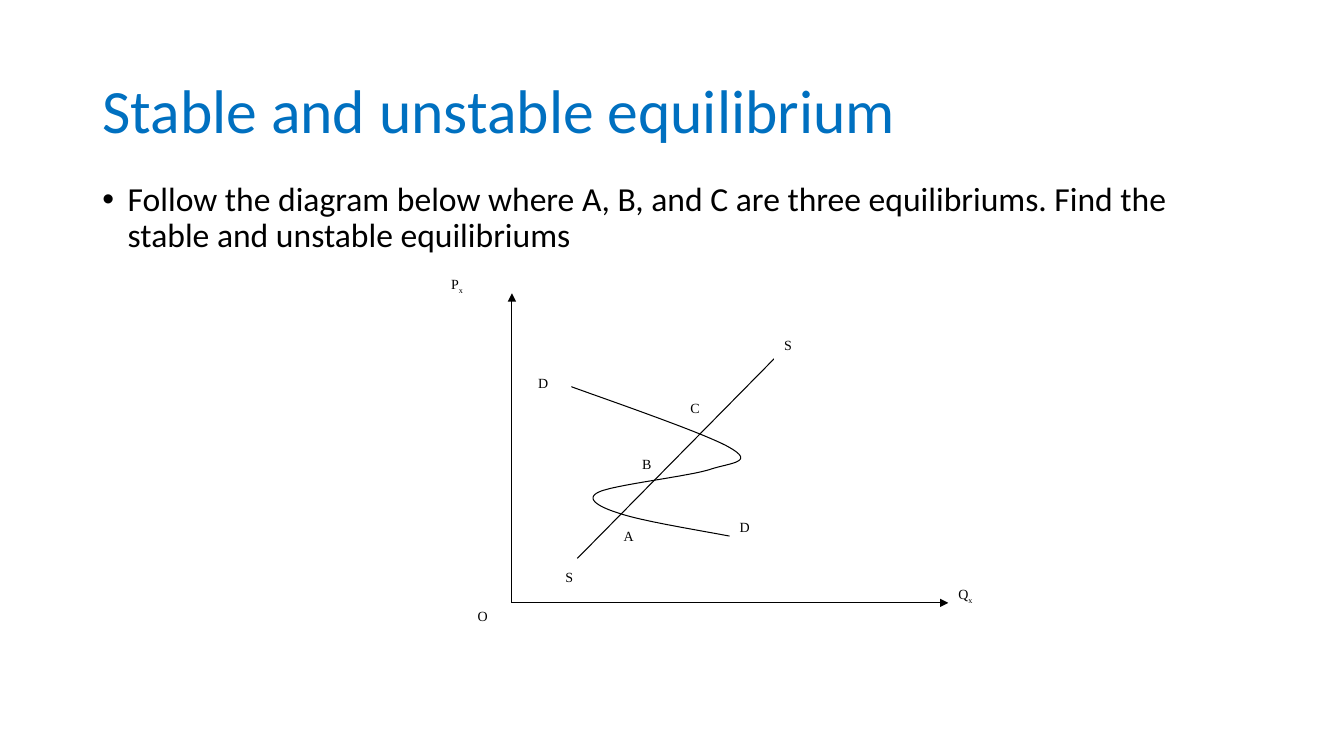
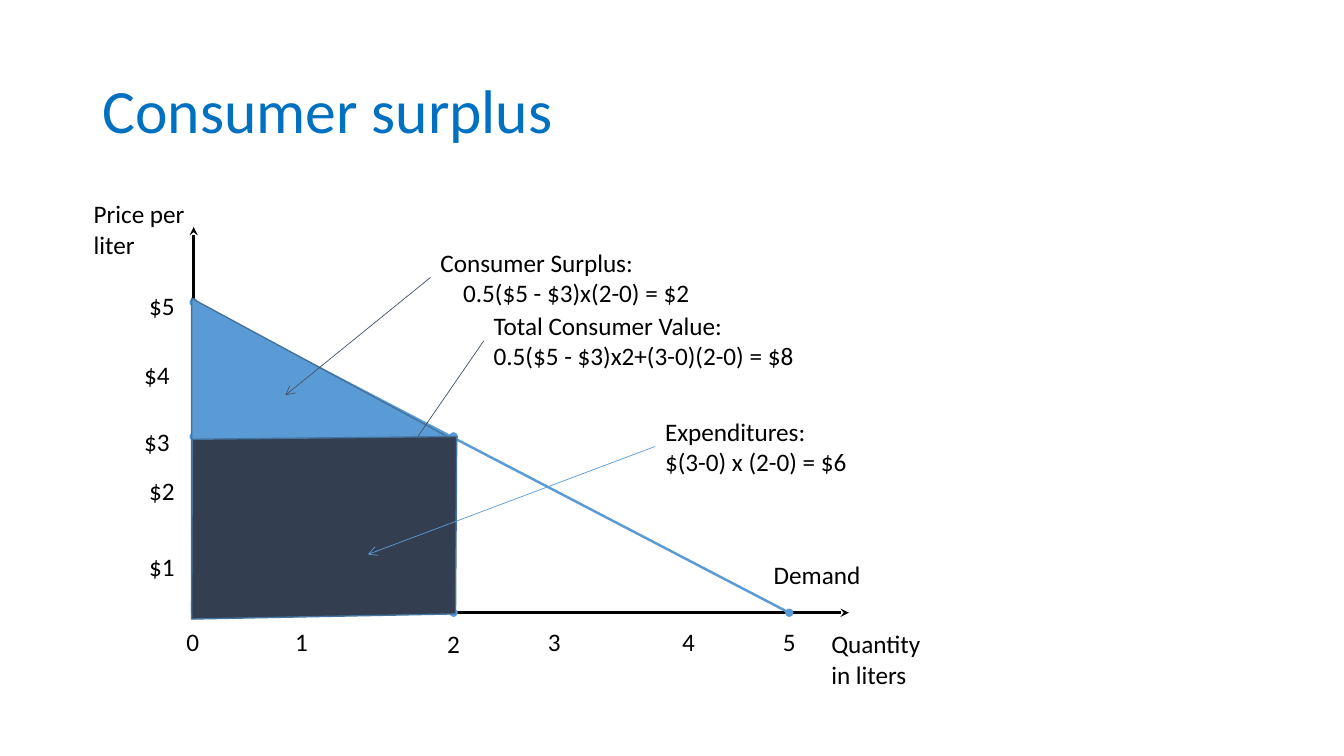
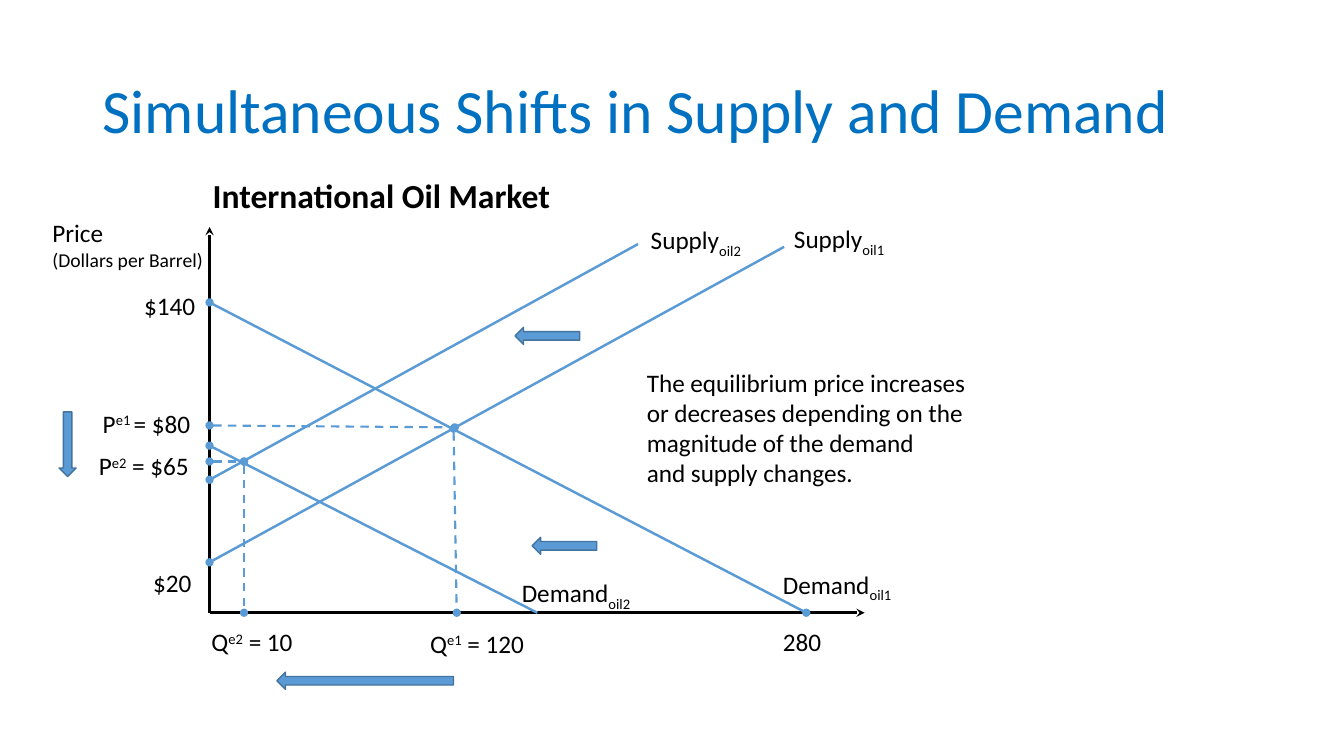
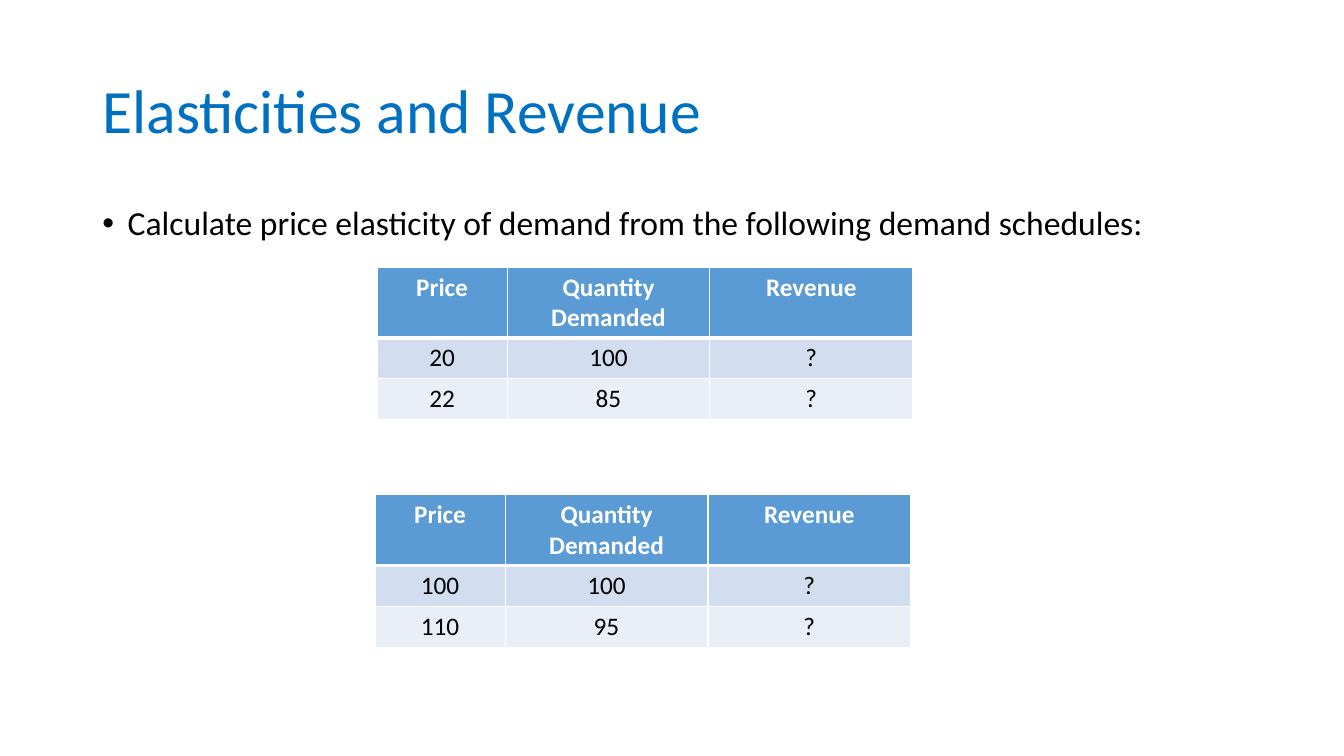
from lxml.etree import SubElement
from pptx import Presentation
from pptx.dml.color import RGBColor
from pptx.enum.dml import MSO_LINE_DASH_STYLE as Dash
from pptx.enum.shapes import MSO_CONNECTOR, MSO_SHAPE
from pptx.enum.text import MSO_ANCHOR, MSO_AUTO_SIZE, PP_ALIGN
from pptx.oxml.ns import qn
from pptx.util import Cm, Pt

# Shared look
COLORS = {"title": "0070C0", "ink": "000000", "paper": "FFFFFF", "blue": "5B9BD5",
          "edge": "43739E", "slate": "44546A", "navy": "333F50",
          "band_dark": "D2DEEF", "band_light": "EAEFF7"}
SANS, SERIF = "Calibri", "Times New Roman"
TITLE_BOX = (2.33, 1.01, 29.21, 3.68)

# Line styles: colour, width, dashed, start mark, end mark
LINES = {
    "thin": ("ink", 0.75, False, None, None),
    "thin axis": ("ink", 0.75, False, None, "triangle"),
    "axis": ("ink", 2, False, None, "stealth"),
    "curve": ("blue", 1.75, False, "oval", None),
    "full curve": ("blue", 1.75, False, "oval", "oval"),
    "guide": ("blue", 1.5, True, "oval", "oval"),
    "slate leader": ("slate", 0.5, False, None, "arrow"),
    "blue leader": ("blue", 0.5, False, None, "arrow"),
}


def sub(text):
    return text, {"base": -25}


def sup(text):
    return text, {"base": 30}


# Slide 1: equilibrium
EQUILIBRIUM = {
    "title": "Stable and unstable equilibrium",
    "bullet": "Follow the diagram below where A, B, and C are three equilibriums. "
              "Find the stable and unstable equilibriums",
    "axes": ((12.9, 15.19), 7.39, 23.9),
    "supply": (14.55, 14.07, 19.51, 9.04),
    # Bezier points: the start, then two controls and an end per segment
    "demand": [(18.39, 13.51),
               (17.3, 13.31), (16.21, 13.13), (15.65, 12.95),
               (15.09, 12.78), (14.73, 12.57), (15.09, 12.4),
               (15.47, 12.22), (17.3, 12.01), (17.86, 11.84),
               (18.39, 11.66), (19.05, 11.66), (18.39, 11.28),
               (17.75, 10.9), (14.73, 9.88), (14, 9.6)],
    "tags": [((14, 14.2, 1.09, 0.74), ["S"]),
             ((15.47, 13.18, 1.09, 1.12), ["A"]),
             ((15.93, 11.35, 0.64, 0.58), ["B"]),
             ((17.15, 9.93, 0.58, 0.61), ["C"]),
             ((13.31, 9.3, 1.09, 1.12), ["D"]),
             ((19.51, 8.36, 1.09, 1.12), ["S"]),
             ((18.39, 12.95, 1.09, 1.12), ["D"]),
             ((11.79, 15.19, 1.09, 1.12), ["O"]),
             ((10.69, 6.83, 1.65, 1.12), ["P", sub("x")]),
             ((23.9, 14.63, 1.65, 1.12), ["Q", sub("x")])],
}

# Slide 2: consumer surplus; labels are left, top, width, paragraphs of runs
SURPLUS = {
    "title": "Consumer surplus",
    "axes": ((4.88, 15.44), 5.72, 21.39),
    "lines": [("full curve", (4.88, 7.62, 19.89, 15.44)),
              ("guide", (4.88, 11, 11.43, 11)),
              ("guide", (11.43, 11, 11.43, 15.44))],
    "value_area": [(4.83, 7.52), (4.83, 15.44), (11.43, 15.37), (11.46, 11.1)],
    "value_leader": (12.19, 8.59, 9.22, 12.9),
    "spending_area": [(4.85, 11.07), (4.83, 15.6), (11.48, 15.47), (11.51, 11)],
    "leaders": [("blue leader", (16.51, 11.25, 9.27, 13.97)),
                ("slate leader", (10.85, 6.99, 7.19, 9.96))],
    "labels": [(20.7, 15.72, 2.95, [["Quantity"], ["in liters"]]),
               (2.11, 4.88, 2.97, [["Price per"], ["liter"]]),
               (19.25, 13.97, 2.72, [["Demand"]]),
               (12.19, 7.7, 8.18, [["Total Consumer Value:"],
                                   ["0.5($5 - $3)x2+(3-0)(2-0) = $8"]]),
               (16.51, 10.36, 5.28, [["Expenditures:"], ["$(3-0) x (2-0) = $6"]])],
    "surplus_label": (10.85, 6.1, 7.01, [["Consumer Surplus:"],
                                         ["0.5($5 - $3)x(2-0) = $2"]]),
    "price_ticks": [("$5", 3.51, 7.19), ("$4", 3.38, 8.92), ("$3", 3.38, 10.62),
                    ("$2", 3.51, 11.86), ("$1", 3.51, 13.77)],
    "quantity_ticks": [("0", 4.45, 15.67), ("1", 7.19, 15.67), ("2", 11.02, 15.7),
                       ("3", 13.56, 15.67), ("4", 16.94, 15.67), ("5", 19.48, 15.67)],
}

# Slide 3: oil market
OIL = {
    "title": "Simultaneous Shifts in Supply and Demand",
    "axes": ((5.28, 15.44), 5.72, 21.79),
    "lines": [("curve", (5.28, 14.17, 19.76, 6.22)),
              ("curve", (5.28, 12.09, 16.08, 6.15)),
              ("full curve", (5.28, 7.62, 20.32, 15.44)),
              ("curve", (5.28, 11.23, 13.54, 15.44)),
              ("guide", (5.28, 10.72, 11.46, 10.77)),
              ("guide", (11.43, 10.8, 11.51, 15.44)),
              ("guide", (5.28, 11.63, 6.15, 11.63)),
              ("guide", (6.15, 11.63, 6.15, 15.44))],
    "shifts": [(MSO_SHAPE.LEFT_ARROW, (12.98, 8.25, 1.63, 0.43)),
               (MSO_SHAPE.LEFT_ARROW, (13.41, 13.54, 1.63, 0.43)),
               (MSO_SHAPE.LEFT_ARROW, (6.98, 16.94, 4.45, 0.43)),
               (MSO_SHAPE.DOWN_ARROW, (1.49, 10.38, 0.43, 1.63))],
    "labels": [(5.11, 4.29, 9.12, [[("International Oil Market",
                                     {"size": 24, "bold": True})]]),
               (1.07, 5.36, 4.34, [["Price"], [("(Dollars per Barrel)", {"size": 14})]]),
               (19.76, 5.51, 2.9, [["Supply", sub("oil1")]]),
               (16.15, 5.54, 2.9, [["Supply", sub("oil2")]]),
               (19.48, 14.22, 3.38, [["Demand", sub("oil1")]]),
               (12.9, 14.43, 3.38, [["Demand", sub("oil2")]]),
               (3.38, 7.19, 1.8, [["$140"]]),
               (2.34, 10.16, 2.79, [["P", sup("e1 "), "= $80"]]),
               (2.24, 11.23, 2.84, [["P", sup("e2"), " = $65"]]),
               (3.61, 14.17, 1.5, [["$20"]]),
               (5.08, 15.67, 2.64, [["Q", sup("e2"), " = 10"]]),
               (10.59, 15.7, 2.97, [["Q", sup("e1"), " = 120"]]),
               (19.48, 15.67, 1.5, [["280"]]),
               (16.05, 9.12, 8.79, [["The equilibrium price increases"],
                                    ["or decreases depending on the"],
                                    ["magnitude of the demand"],
                                    ["and supply changes."]])],
}

# Slide 4: demand schedules
REVENUE = {
    "title": "Elasticities and Revenue",
    "bullet": "Calculate price elasticity of demand from the following demand schedules:",
    "header": ("Price", "Quantity Demanded", "Revenue"),
    "columns": (3.28, 5.11, 5.11),
    "rows": (1.78, 1.03, 1.03),
    "schedules": [((9.5, 6.73), [("20", "100", "?"), ("22", "85", "?")]),
                  ((9.45, 12.47), [("100", "100", "?"), ("110", "95", "?")])],
}


# Helpers
def rgb(name):
    return RGBColor.from_string(COLORS[name])


def cm(values):
    return [Cm(value) for value in values]


def add_runs(paragraph, runs, size=18, color="ink", font=SANS, bold=False):
    for item in runs:
        text, extra = (item, {}) if isinstance(item, str) else item
        run = paragraph.add_run()
        run.text = text
        run.font.name = font
        run.font.size = Pt(extra.get("size", size))
        run.font.bold = extra.get("bold", bold)
        run.font.color.rgb = rgb(color)
        if "base" in extra:
            run.font._element.set("baseline", str(extra["base"] * 1000))


def new_slide(deck, title):
    slide = deck.slides.add_slide(deck.slide_layouts[5])
    heading = slide.shapes.title
    heading.left, heading.top, heading.width, heading.height = cm(TITLE_BOX)
    frame = heading.text_frame
    frame.vertical_anchor = MSO_ANCHOR.MIDDLE
    paragraph = frame.paragraphs[0]
    paragraph.alignment = PP_ALIGN.LEFT
    paragraph.line_spacing = 0.9
    add_runs(paragraph, [title], 44, "title")
    return slide


def add_bullet(slide, text, top, height, align=PP_ALIGN.LEFT):
    box = slide.shapes.add_textbox(*cm((2.33, top, 29.21, height)))
    box.text_frame.word_wrap = True
    paragraph = box.text_frame.paragraphs[0]
    props = paragraph._p.get_or_add_pPr()
    props.set("marL", str(Cm(0.64)))
    props.set("indent", str(-Cm(0.64)))
    SubElement(props, qn("a:buFont"), typeface="Arial")
    SubElement(props, qn("a:buChar"), char="•")
    paragraph.alignment = align
    paragraph.line_spacing = 0.9
    add_runs(paragraph, [text], 24)


def add_label(slide, left, top, width, paragraphs):
    height = 0.25 + 0.77 * len(paragraphs)
    frame = slide.shapes.add_textbox(*cm((left, top, width, height))).text_frame
    frame.word_wrap = False
    frame.auto_size = MSO_AUTO_SIZE.SHAPE_TO_FIT_TEXT
    for index, runs in enumerate(paragraphs):
        add_runs(frame.add_paragraph() if index else frame.paragraphs[0], runs)
    return frame


def add_line(slide, style, ends):
    color, width, dashed, start, end = LINES[style]
    connector = slide.shapes.add_connector(MSO_CONNECTOR.STRAIGHT, *cm(ends))
    connector.line.color.rgb = rgb(color)
    connector.line.width = Pt(width)
    if dashed:
        connector.line.dash_style = Dash.DASH
    props = connector._element.spPr
    outline = props.find(qn("a:ln"))
    for tag, mark in (("a:headEnd", start), ("a:tailEnd", end)):
        if mark:
            SubElement(outline, qn(tag), type=mark)
    SubElement(props, qn("a:effectLst"))


def add_axes(slide, axes, style="axis"):
    (x, y), top, right = axes
    add_line(slide, style, (x, y, x, top))
    add_line(slide, style, (x, y, right, y))


def paint(shape, fill=None, line=None, width=1):
    shape.shadow.inherit = False
    if fill:
        shape.fill.solid()
        shape.fill.fore_color.rgb = rgb(fill)
    else:
        shape.fill.background()
    if line:
        shape.line.color.rgb = rgb(line)
        shape.line.width = Pt(width)
    else:
        shape.line.fill.background()


def add_outline(slide, points, close):
    corners = [cm(point) for point in points]
    builder = slide.shapes.build_freeform(*corners[0])
    builder.add_line_segments(corners[1:], close=close)
    return builder.convert_to_shape()


def bezier_points(points, steps=24):
    curve = [points[0]]
    for first in range(0, len(points) - 1, 3):
        segment = points[first:first + 4]
        for step in range(1, steps + 1):
            t = step / steps
            weights = ((1 - t) ** 3, 3 * t * (1 - t) ** 2, 3 * t * t * (1 - t), t ** 3)
            curve.append(tuple(sum(w * p[axis] for w, p in zip(weights, segment))
                               for axis in (0, 1)))
    return curve


def add_borders(cell, bottom):
    props = cell._tc.get_or_add_tcPr()
    for side, width in (("L", 1), ("R", 1), ("T", 1), ("B", bottom)):
        border = SubElement(props, qn("a:ln" + side), w=str(Pt(width)))
        fill = SubElement(border, qn("a:solidFill"))
        SubElement(fill, qn("a:srgbClr"), val=COLORS["paper"])


def add_schedule(slide, place, rows):
    columns, heights = REVENUE["columns"], REVENUE["rows"]
    size = (sum(columns), sum(heights))
    table = slide.shapes.add_table(len(heights), len(columns), *cm(place + size)).table
    for column, width in zip(table.columns, columns):
        column.width = Cm(width)
    bands = ("blue", "band_dark", "band_light")
    for r, (texts, band) in enumerate(zip([REVENUE["header"], *rows], bands)):
        table.rows[r].height = Cm(heights[r])
        header = r == 0
        for c, text in enumerate(texts):
            cell = table.cell(r, c)
            add_borders(cell, 3 if header else 1)
            cell.fill.solid()
            cell.fill.fore_color.rgb = rgb(band)
            paragraph = cell.text_frame.paragraphs[0]
            paragraph.alignment = PP_ALIGN.CENTER
            add_runs(paragraph, [text], color="paper" if header else "ink", bold=header)


# Slides
def build_equilibrium(deck):
    slide = new_slide(deck, EQUILIBRIUM["title"])
    add_bullet(slide, EQUILIBRIUM["bullet"], 4.47, 13.39)
    add_axes(slide, EQUILIBRIUM["axes"], "thin axis")
    add_line(slide, "thin", EQUILIBRIUM["supply"])
    demand = add_outline(slide, bezier_points(EQUILIBRIUM["demand"]), False)
    paint(demand, line="ink", width=0.75)
    for box, runs in EQUILIBRIUM["tags"]:
        tag = slide.shapes.add_shape(MSO_SHAPE.RECTANGLE, *cm(box))
        paint(tag, "paper")
        tag.text_frame.vertical_anchor = MSO_ANCHOR.TOP
        paragraph = tag.text_frame.paragraphs[0]
        paragraph.alignment = PP_ALIGN.CENTER if runs[0] == "P" else PP_ALIGN.LEFT
        add_runs(paragraph, runs, 10, font=SERIF)


def build_surplus(deck):
    slide = new_slide(deck, SURPLUS["title"])
    add_axes(slide, SURPLUS["axes"])
    for style, ends in SURPLUS["lines"]:
        add_line(slide, style, ends)
    paint(add_outline(slide, SURPLUS["value_area"], True), "blue", "edge")
    add_line(slide, "slate leader", SURPLUS["value_leader"])
    paint(add_outline(slide, SURPLUS["spending_area"], True), "navy", "edge")
    for style, ends in SURPLUS["leaders"]:
        add_line(slide, style, ends)
    for label in SURPLUS["labels"]:
        add_label(slide, *label)
    formula = add_label(slide, *SURPLUS["surplus_label"]).paragraphs[1]
    formula._p.get_or_add_pPr().set("marL", str(Cm(0.57)))
    for ticks, width in (("price_ticks", 1.17), ("quantity_ticks", 0.84)):
        for text, left, top in SURPLUS[ticks]:
            add_label(slide, left, top, width, [[text]])


def build_oil(deck):
    slide = new_slide(deck, OIL["title"])
    add_axes(slide, OIL["axes"])
    for style, ends in OIL["lines"]:
        add_line(slide, style, ends)
    for arrow, box in OIL["shifts"]:
        paint(slide.shapes.add_shape(arrow, *cm(box)), "blue", "edge")
    for label in OIL["labels"]:
        add_label(slide, *label)


def build_revenue(deck):
    slide = new_slide(deck, REVENUE["title"])
    add_bullet(slide, REVENUE["bullet"], 5.08, 12.09, PP_ALIGN.JUSTIFY)
    for place, rows in REVENUE["schedules"]:
        add_schedule(slide, place, rows)


def main():
    deck = Presentation()
    deck.slide_width, deck.slide_height = Cm(33.87), Cm(19.05)
    for build in (build_equilibrium, build_surplus, build_oil, build_revenue):
        build(deck)
    deck.save("out.pptx")


if __name__ == "__main__":
    main()
